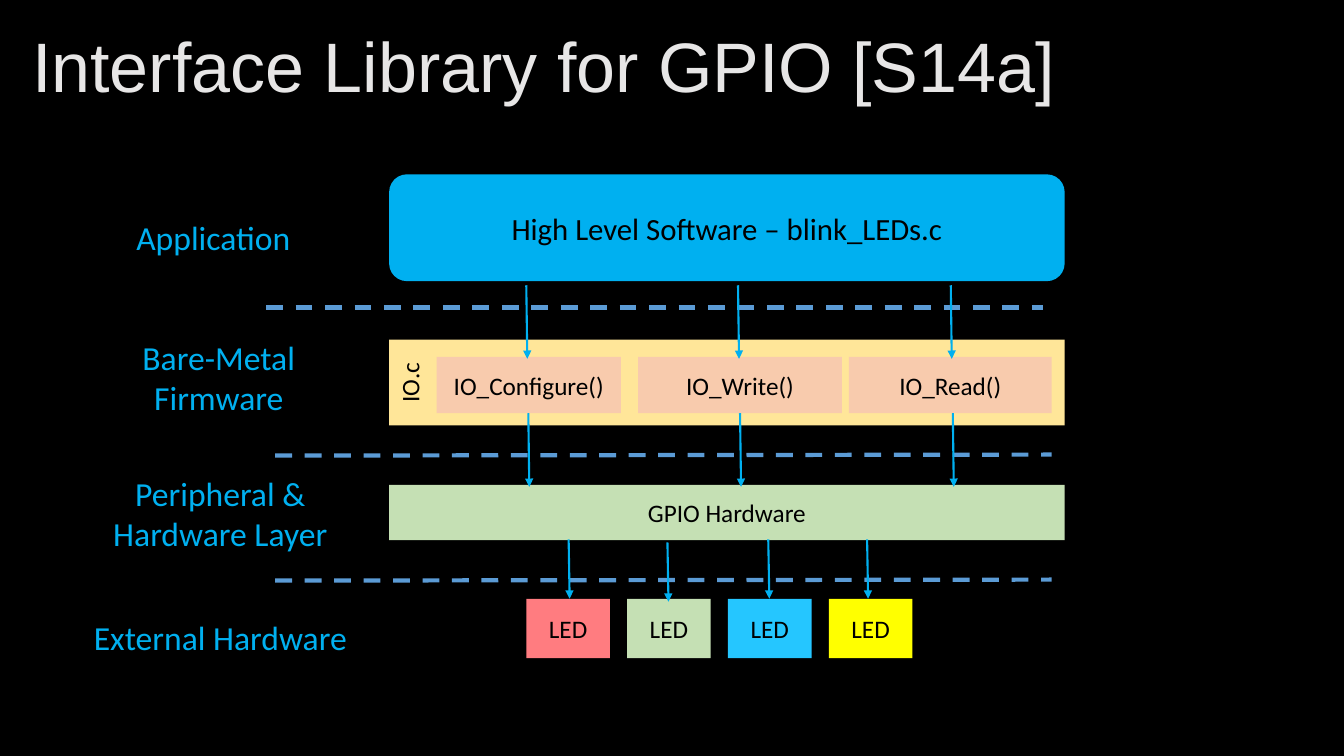
from pptx import Presentation
from pptx.dml.color import RGBColor
from pptx.enum.dml import MSO_LINE
from pptx.enum.shapes import MSO_CONNECTOR, MSO_SHAPE
from pptx.enum.text import MSO_ANCHOR, MSO_AUTO_SIZE, PP_ALIGN
from pptx.oxml.ns import qn
from pptx.util import Inches, Pt
from lxml import etree

RECTANGLE, ROUNDED = MSO_SHAPE.RECTANGLE, MSO_SHAPE.ROUNDED_RECTANGLE
STRAIGHT, DASH = MSO_CONNECTOR.STRAIGHT, MSO_LINE.DASH
TOP, MIDDLE = MSO_ANCHOR.TOP, MSO_ANCHOR.MIDDLE
LEFT, CENTER = PP_ALIGN.LEFT, PP_ALIGN.CENTER
GROW = MSO_AUTO_SIZE.SHAPE_TO_FIT_TEXT
BLACK, CYAN, STEEL, GREEN, PEACH = "000000", "00B0F0", "5B9BD5", "C5E0B4", "F8CBAD"


def write(shape, text, size, color, font="Calibri", align=CENTER, anchor=MIDDLE):
    frame = shape.text_frame
    frame.text = text
    frame.word_wrap = True
    frame.vertical_anchor = anchor
    for para in frame.paragraphs:
        para.alignment = align
        for span in para.runs:
            for name, value in {"name": font, "size": Pt(size)}.items():
                setattr(span.font, name, value)
            span.font.color.rgb = RGBColor.from_string(color)


def draw_line(start_x, start_y, end_x, end_y, color, width):
    connector = page.shapes.add_connector(
        STRAIGHT, Inches(start_x), Inches(start_y), Inches(end_x), Inches(end_y))
    connector.line.color.rgb = RGBColor.from_string(color)
    connector.line.width = Pt(width)
    etree.SubElement(connector.element.spPr, qn("a:effectLst"))
    return connector


deck = Presentation()
deck.slide_width, deck.slide_height = Inches(13.33), Inches(7.5)
page = deck.slides.add_slide(deck.slide_layouts[5])
page.background.fill.solid()
page.background.fill.fore_color.rgb = RGBColor.from_string(BLACK)

title = page.shapes.title
title_place = {"left": 0.22, "top": 0.21, "width": 12.89, "height": 0.97}
for side, length in title_place.items():
    setattr(title, side, Inches(length))
write(title, "Interface Library for GPIO [S14a]", 50, "E7E6E6", "Arial", LEFT)
title.text_frame.auto_size = MSO_AUTO_SIZE.NONE
title.text_frame.paragraphs[0].line_spacing = 0.9

boxes = [
    ("High Level Software – blink_LEDs.c", ROUNDED, 3.86, 1.73, 6.7, 1.06, CYAN, 22),
    ("IO.c", RECTANGLE, 3.86, 3.37, 6.7, 0.85, "FFE699", 18),
    ("IO_Configure()", RECTANGLE, 4.33, 3.54, 1.83, 0.56, PEACH, 18),
    ("IO_Write()", RECTANGLE, 6.33, 3.54, 2.02, 0.56, PEACH, 18),
    ("IO_Read()", RECTANGLE, 8.42, 3.54, 2.01, 0.56, PEACH, 18),
    ("GPIO Hardware", RECTANGLE, 3.86, 4.81, 6.7, 0.55, GREEN, 18),
]
for index, led_color in enumerate(["FF7C80", GREEN, "25C6FF", "FFFF00"]):
    boxes.append(("LED", RECTANGLE, 5.22 + index, 5.94, 0.83, 0.59, led_color, 18))

for text, kind, left, top, width, height, color, size in boxes:
    box = page.shapes.add_shape(
        kind, Inches(left), Inches(top), Inches(width), Inches(height))
    box.shadow.inherit = False
    box.fill.solid()
    box.fill.fore_color.rgb = RGBColor.from_string(color)
    box.line.fill.background()
    sideways = text == "IO.c"
    write(box, text, size, BLACK, anchor=TOP if sideways else MIDDLE)
    if sideways:
        box.element.txBody.bodyPr.set("vert", "vert270")

layer_labels = [
    ("Application", 0.62, 2.1, 2.99, 0.5),
    ("Bare-Metal\nFirmware", 0.89, 3.29, 2.56, 0.91),
    ("Peripheral & Hardware Layer", 0.69, 4.64, 2.99, 0.91),
    ("External Hardware", 0.69, 6.07, 2.99, 0.5),
]
for text, left, top, width, height in layer_labels:
    label = page.shapes.add_textbox(
        Inches(left), Inches(top), Inches(width), Inches(height))
    write(label, text, 24, CYAN, anchor=TOP)
    label.text_frame.auto_size = GROW

for left, start_y, end_y in [(2.64, 3.05, 3.05), (2.73, 4.52, 4.51), (2.73, 5.76, 5.75)]:
    divider = draw_line(left, start_y, left + 7.7, end_y, STEEL, 3)
    divider.line.dash_style = DASH

arrows = []
for call_x in (5.22, 7.32, 9.43):
    arrows += [(call_x, 2.83, 0.73), (call_x + 0.02, 4.1, 0.73)]
for led_x, top in [(5.64, 5.35), (6.62, 5.38), (7.62, 5.35), (8.6, 5.35)]:
    arrows.append((led_x, top, 0.59))
for left, top, length in arrows:
    arrow = draw_line(left, top, left + 0.01, top + length, CYAN, 1.5)
    etree.SubElement(arrow.line._get_or_add_ln(), qn("a:tailEnd"), type="triangle")

deck.save("out.pptx")
